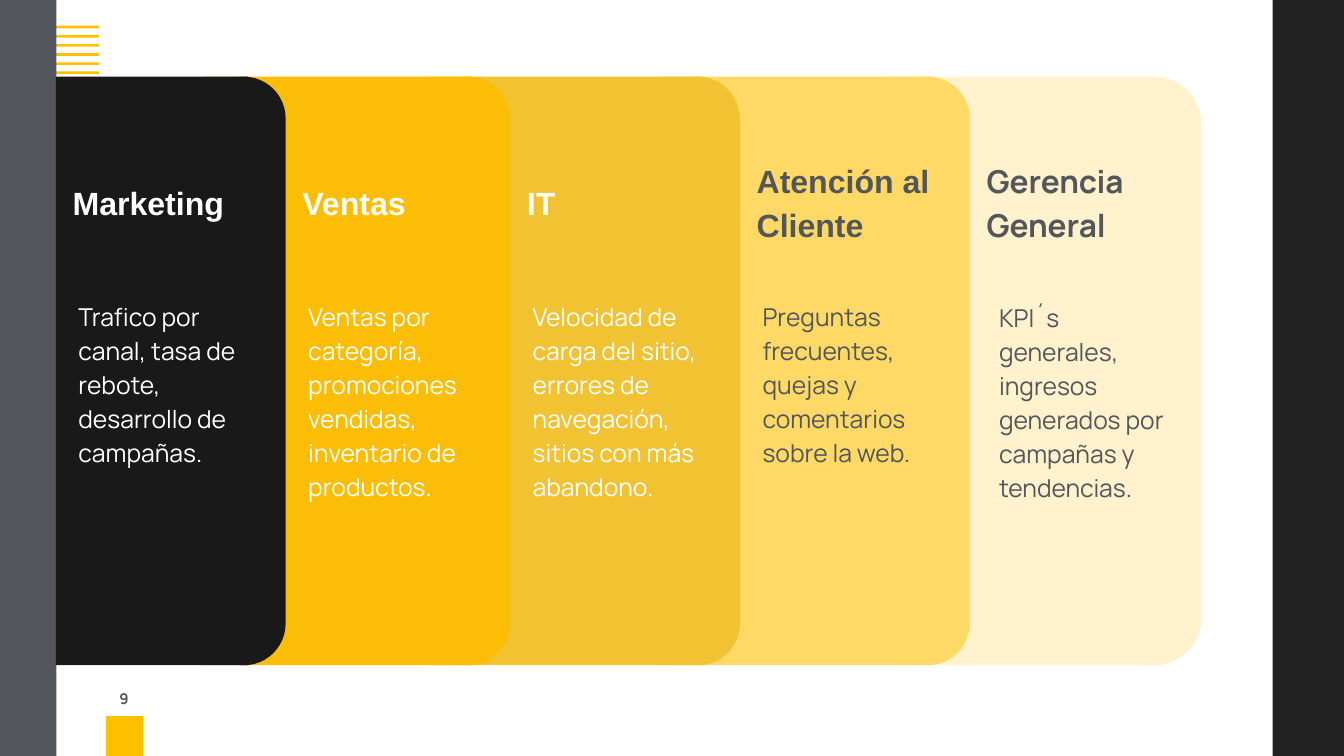
import pptx
import pptx.util
import pptx.dml.color
import pptx.enum.shapes
import pptx.enum.text

WIDE = 10
HIGH = WIDE * 9 / 16
GOLD, GRAY, WHITE = "FFC000", "53565A", "FFFFFF"
KIND = pptx.enum.shapes.MSO_SHAPE
ANCHOR = pptx.enum.text.MSO_ANCHOR
EDGE = 4.15
TOP, TALL = 10.15, 77.85

PANELS = [
    ("Marketing", "Trafico por canal, tasa de rebote, desarrollo de campañas.",
     21.25, "191919", WHITE),
    ("Ventas", "Ventas por categoría, promociones vendidas, inventario de productos.",
     37.95, "FBBD05", WHITE),
    ("IT", "Velocidad de carga del sitio, errores de navegación, sitios con más abandono.",
     55.05, "F1C232", WHITE),
    ("Atención al Cliente", "Preguntas frecuentes, quejas y comentarios sobre la web.",
     72.15, "FFD966", GRAY),
    ("Gerencia General",
     "KPI´s generales, ingresos generados por campañas y tendencias.",
     89.4, "FFF2CC", GRAY),
]


def color(code):
    return pptx.dml.color.RGBColor.from_string(code)


def place(left, top, width, height):
    across = [pptx.util.Inches(WIDE * part / 100) for part in (left, width)]
    down = [pptx.util.Inches(HIGH * part / 100) for part in (top, height)]
    return across[0], down[0], across[1], down[1]


def block(slide, box, fill, kind=KIND.RECTANGLE, bend=None):
    shape = slide.shapes.add_shape(kind, *place(*box))
    shape.shadow.inherit = False
    shape.fill.solid()
    shape.fill.fore_color.rgb = color(fill)
    shape.line.fill.background()
    if bend is not None:
        shape.adjustments[0] = bend


def label(slide, box, text, size, ink, face="Manrope", bold=False,
          anchor=ANCHOR.TOP, side=0, inset=0, space=1):
    frame = slide.shapes.add_textbox(*place(*box)).text_frame
    frame.word_wrap = True
    frame.vertical_anchor = anchor
    frame.margin_left = frame.margin_right = pptx.util.Inches(side)
    frame.margin_top = frame.margin_bottom = pptx.util.Inches(inset)
    line = frame.paragraphs[0]
    line.text = text
    line.line_spacing = space
    line.font.size = pptx.util.Pt(size)
    line.font.name = face
    line.font.bold = bold
    line.font.color.rgb = color(ink)


def panel(slide, start, head, body, end, fill, ink, last):
    cap = 7.5 if last else 6.2
    left = max(EDGE, start - 6)
    block(slide, (left, TOP, end - 0.45 * cap - left, TALL), fill)
    block(slide, (end - cap, TOP, cap, TALL), fill, KIND.ROUNDED_RECTANGLE,
          0.47 if last else 0.5)
    face, size = ("Manrope", 16.9) if last else ("Arial", 17.2)
    label(slide, (start + 1.25, 17.65, 14.8, 17.6), head, size, ink, face,
          True, ANCHOR.MIDDLE, space=1.15)
    shift, top = (1.2, 39.5) if last else (0.7, 39.35)
    label(slide, (start + shift, top, 14.5, 31), body, 13.2, ink,
          side=0.1, space=1.15)


def frame(slide):
    block(slide, (7.9, 94.75, 2.75, 5.5), GOLD)
    for row in range(6):
        block(slide, (2.2, 3.4 + 1.21 * row, 5.2, 0.36), GOLD,
              KIND.ROUNDED_RECTANGLE, 0.5)
    block(slide, (0, 0, 4.2, 100), GRAY)
    block(slide, (94.7, 0, 5.3, 100), "212121")
    label(slide, (7.9, 90.1, 5.2, 4.3), "9", 8, GRAY, bold=True,
          side=0.1, inset=0.1)


def main():
    deck = pptx.Presentation()
    deck.slide_width = pptx.util.Inches(WIDE)
    deck.slide_height = pptx.util.Inches(HIGH)
    slide = deck.slides.add_slide(deck.slide_layouts[6])
    frame(slide)
    starts = [EDGE] + [item[2] for item in PANELS[:-1]]
    for start, item in reversed(list(zip(starts, PANELS))):
        panel(slide, start, *item, last=item is PANELS[-1])
    deck.save("out.pptx")


if __name__ == "__main__":
    main()
